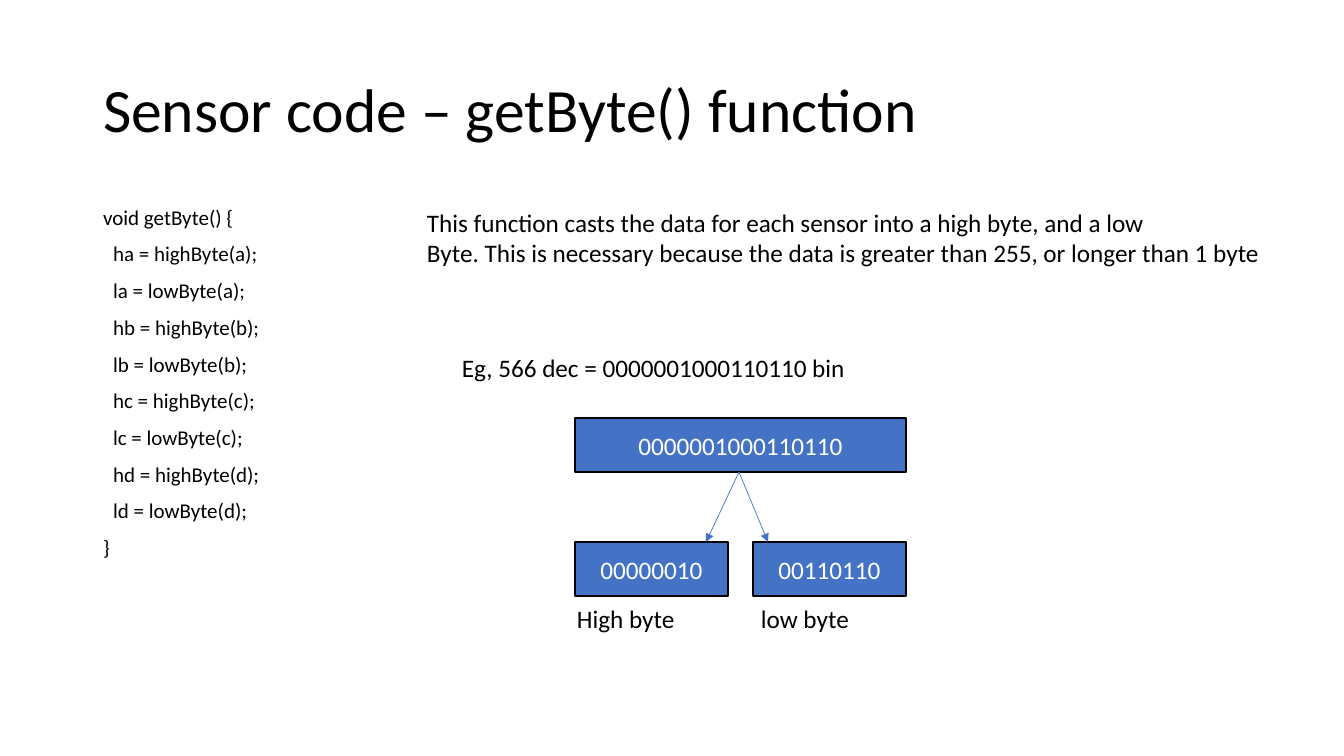
from lxml.etree import SubElement
from pptx import Presentation
from pptx.dml.color import RGBColor
from pptx.enum.shapes import MSO_CONNECTOR, MSO_SHAPE
from pptx.enum.text import MSO_ANCHOR, MSO_AUTO_SIZE, PP_ALIGN
from pptx.oxml.ns import qn
from pptx.util import Emu, Pt

TITLE = "Sensor code – getByte() function"
CODE_HEAD, CODE_END = "void getByte() {", "}"
CODE = [
    "ha = highByte(a);", "la = lowByte(a);",
    "hb = highByte(b);", "lb = lowByte(b);",
    "hc = highByte(c);", "lc = lowByte(c);",
    "hd = highByte(d);", "ld = lowByte(d);",
]
NOTES = [  # lines, left, top, width, height
    (["This function casts the data for each sensor into a high byte, and a low",
      "Byte. This is necessary because the data is greater than 255, "
      "or longer than 1 byte"], 417, 202, 863, 72),
    (["Eg, 566 dec = 0000001000110110 bin"], 452, 347, 408, 40),
    (["High byte"], 567, 598, 125, 40),
    (["low byte"], 751, 598, 115, 40),
]
WORD = "0000001000110110"
HALVES = [WORD[:8], WORD[8:]]
TIPS = [706, 768]

BLACK, WHITE, BLUE = "000000", "FFFFFF", "4472C4"
LEFT, WIDE, HALF, HIGH = 575, 331, 153, 54
WORD_TOP, HALF_TOP = 418, 542


def px(n):
    return Emu(round(n * 914400 / 100.8))


def rgb(code):
    return RGBColor.from_string(code)


def write(frame, lines, size=18, color=BLACK, align=PP_ALIGN.LEFT,
          anchor=MSO_ANCHOR.TOP, wrap=True, space=None, before=0):
    frame.word_wrap = wrap
    frame.auto_size = MSO_AUTO_SIZE.NONE if wrap else MSO_AUTO_SIZE.SHAPE_TO_FIT_TEXT
    frame.vertical_anchor = anchor
    for i, line in enumerate(lines):
        para = frame.add_paragraph() if i else frame.paragraphs[0]
        para.alignment = align
        para.line_spacing = space
        para.space_before = Pt(before)
        run = para.add_run()
        run.text = line
        font = run.font
        font.name, font.size = "Calibri", Pt(size)
        font.color.rgb = rgb(color)


def place(shape, *area):
    shape.left, shape.top, shape.width, shape.height = map(px, area)


def add_box(text, left, top, width):
    box = slide.shapes.add_shape(MSO_SHAPE.RECTANGLE, *map(px, (left, top, width, HIGH)))
    box.shadow.inherit = False
    box.fill.solid()
    box.fill.fore_color.rgb = rgb(BLUE)
    box.line.color.rgb = rgb(BLACK)
    box.line.width = Pt(1)
    write(box.text_frame, [text], color=WHITE, align=PP_ALIGN.CENTER,
          anchor=MSO_ANCHOR.MIDDLE)


def add_arrow(*ends):
    arrow = slide.shapes.add_connector(MSO_CONNECTOR.STRAIGHT, *map(px, ends))
    arrow.line.color.rgb = rgb(BLUE)
    arrow.line.width = Pt(0.5)
    SubElement(arrow.line._get_or_add_ln(), qn("a:tailEnd"), type="triangle")
    SubElement(arrow._element.spPr, qn("a:effectLst"))


deck = Presentation()
deck.slide_width, deck.slide_height = px(1344), px(756)
slide = deck.slides.add_slide(deck.slide_layouts[1])

title, body = slide.placeholders
place(title, 93, 40, 1159, 146)
write(title.text_frame, [TITLE], size=44, anchor=MSO_ANCHOR.MIDDLE, space=0.9)

place(body, 93, 202, 512, 480)
write(body.text_frame, [CODE_HEAD, *CODE, CODE_END], size=15, space=0.9, before=10)
for para in body.text_frame.paragraphs:
    props = para._p.get_or_add_pPr()
    props.set("marL", str(px(10) if para.text in CODE else 0))
    props.set("indent", "0")
    SubElement(props, qn("a:buNone"))

for lines, *area in NOTES:
    note = slide.shapes.add_textbox(*map(px, area))
    write(note.text_frame, lines, wrap=False)

add_box(WORD, LEFT, WORD_TOP, WIDE)
for i, (half, tip) in enumerate(zip(HALVES, TIPS)):
    add_box(half, LEFT + i * (WIDE - HALF), HALF_TOP, HALF)
    add_arrow(739, WORD_TOP + HIGH, tip, HALF_TOP)

deck.save("out.pptx")
